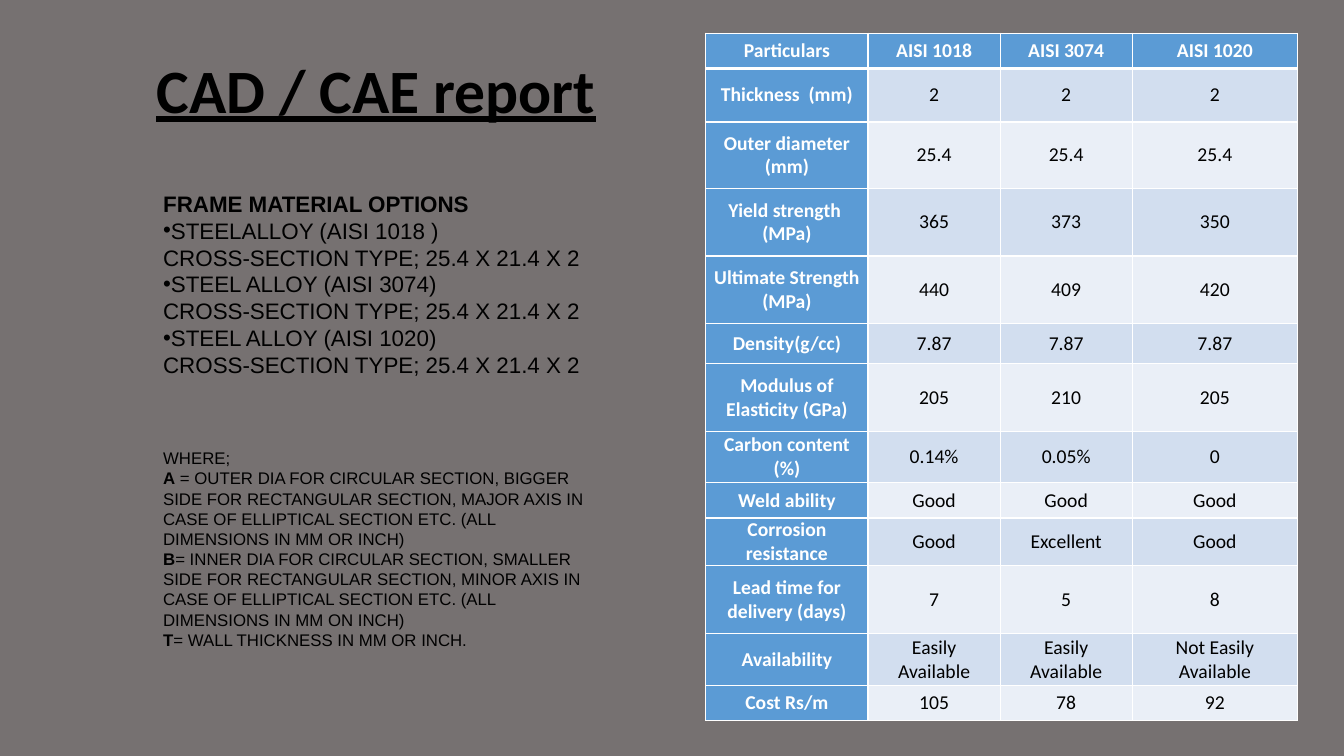
import lxml.etree
import pptx
import pptx.dml.color
import pptx.enum.text
import pptx.oxml.ns
import pptx.util

PX = 9144
FONT_TABLE = "Calibri"
FONT_BODY = "Arial"
BLACK, WHITE, GRAY = "000000", "FFFFFF", "767171"
BLUE, BAND_DARK, BAND_LIGHT = "5B9BD5", "D2DEEF", "EAEFF7"
MIDDLE = pptx.enum.text.MSO_ANCHOR.MIDDLE
CENTER = pptx.enum.text.PP_ALIGN.CENTER
LEFT = pptx.enum.text.PP_ALIGN.LEFT

COLUMN_WIDTHS = [161, 131, 131, 164]
MATERIAL_ROWS = [
    (35, ["Particulars", "AISI 1018", "AISI 3074", "AISI 1020"]),
    (53, ["Thickness  (mm)", "2", "2", "2"]),
    (66, ["Outer diameter (mm)", "25.4", "25.4", "25.4"]),
    (67, ["Yield strength  (MPa)", "365", "373", "350"]),
    (67, ["Ultimate Strength (MPa)", "440", "409", "420"]),
    (40, ["Density(g/cc)", "7.87", "7.87", "7.87"]),
    (67, ["Modulus of Elasticity (GPa)", "205", "210", "205"]),
    (51, ["Carbon content (%)", "0.14%", "0.05%", "0"]),
    (35, ["Weld ability", "Good", "Good", "Good"]),
    (46, ["Corrosion resistance", "Good", "Excellent", "Good"]),
    (67, ["Lead time for delivery (days)", "7", "5", "8"]),
    (52, ["Availability", "Easily Available", "Easily Available", "Not Easily Available"]),
    (35, ["Cost Rs/m", "105", "78", "92"]),
]
ALLOYS = ["STEELALLOY (AISI 1018 )", "STEEL ALLOY (AISI 3074)", "STEEL ALLOY (AISI 1020)"]
CROSS_SECTION = "CROSS-SECTION TYPE; 25.4 X 21.4 X 2"
DEFINITIONS = [
    ("A", " = OUTER DIA FOR CIRCULAR SECTION, BIGGER SIDE FOR RECTANGULAR SECTION, "
          "MAJOR AXIS IN CASE OF ELLIPTICAL SECTION ETC. (ALL DIMENSIONS IN MM OR INCH)"),
    ("B", "= INNER DIA FOR CIRCULAR SECTION, SMALLER SIDE FOR RECTANGULAR SECTION, "
          "MINOR AXIS IN CASE OF ELLIPTICAL SECTION ETC. (ALL DIMENSIONS IN MM ON INCH)"),
    ("T", "= WALL THICKNESS IN MM OR INCH."),
]


def px(length):
    return pptx.util.Emu(length * PX)


def color(value):
    return pptx.dml.color.RGBColor.from_string(value)


def write(paragraph, text, size, font=FONT_BODY, fill=BLACK, bold=False,
          underline=False, align=LEFT):
    paragraph.alignment = align
    run = paragraph.add_run()
    run.text = text
    run.font.name = font
    run.font.size = pptx.util.Pt(size)
    run.font.bold = bold
    run.font.underline = underline
    run.font.color.rgb = color(fill)


def add_bullet(paragraph):
    properties = paragraph._p.get_or_add_pPr()
    properties.set("marL", "0")
    properties.set("indent", "0")
    tag = pptx.oxml.ns.qn
    lxml.etree.SubElement(properties, tag("a:buFont"), typeface=FONT_BODY)
    lxml.etree.SubElement(properties, tag("a:buChar"), char="•")


def set_border(cell, side, width):
    tag = pptx.oxml.ns.qn
    line = lxml.etree.Element(tag("a:" + side), w=str(pptx.util.Pt(width)))
    solid = lxml.etree.SubElement(line, tag("a:solidFill"))
    lxml.etree.SubElement(solid, tag("a:srgbClr"), val=WHITE)
    cell._tc.get_or_add_tcPr().append(line)


def add_title(slide, left, top, width, height):
    title = slide.shapes.title
    title.left, title.top = px(left), px(top)
    title.width, title.height = px(width), px(height)
    title.text_frame.vertical_anchor = MIDDLE
    paragraph = title.text_frame.paragraphs[0]
    paragraph.line_spacing = 0.9
    write(paragraph, "CAD / CAE report", 44, font=FONT_TABLE, bold=True,
          underline=True, align=CENTER)


def add_material_options(slide, left, top, width, height):
    box = slide.shapes.add_textbox(px(left), px(top), px(width), px(height))
    frame = box.text_frame
    frame.word_wrap = True
    frame.vertical_anchor = MIDDLE
    frame.margin_bottom = px(29)
    write(frame.paragraphs[0], "FRAME MATERIAL OPTIONS", 16, bold=True)
    for alloy in ALLOYS:
        paragraph = frame.add_paragraph()
        add_bullet(paragraph)
        write(paragraph, alloy, 16)
        paragraph.add_line_break()
        write(paragraph, CROSS_SECTION, 16)
    paragraph = frame.add_paragraph()
    paragraph.space_before = pptx.util.Pt(50)
    write(paragraph, "WHERE;", 12)
    for symbol, meaning in DEFINITIONS:
        paragraph = frame.add_paragraph()
        write(paragraph, symbol, 12, bold=True)
        write(paragraph, meaning, 12)


def format_cell(cell, text, row, column):
    heading = row == 0 or column == 0
    cell.fill.solid()
    band = BAND_DARK if row % 2 else BAND_LIGHT
    cell.fill.fore_color.rgb = color(BLUE if heading else band)
    cell.vertical_anchor = MIDDLE
    cell.margin_left = cell.margin_right = px(7)
    cell.margin_top = cell.margin_bottom = 0
    write(cell.text_frame.paragraphs[0], text, 14, font=FONT_TABLE,
          fill=WHITE if heading else BLACK, bold=heading, align=CENTER)
    properties = cell._tc.get_or_add_tcPr()
    fill = properties[0]
    widths = {"lnL": 1, "lnR": 1, "lnT": 3 if row == 1 else 1, "lnB": 3 if row == 0 else 1}
    for side, width in widths.items():
        set_border(cell, side, width)
    properties.append(fill)


def add_material_table(slide, left, top, width, height):
    frame = slide.shapes.add_table(len(MATERIAL_ROWS), len(COLUMN_WIDTHS),
                                   px(left), px(top), px(width), px(height))
    table = frame.table
    for column, column_width in enumerate(COLUMN_WIDTHS):
        table.columns[column].width = px(column_width)
    for row, (row_height, texts) in enumerate(MATERIAL_ROWS):
        table.rows[row].height = px(row_height)
        for column, text in enumerate(texts):
            format_cell(table.cell(row, column), text, row, column)


def main():
    presentation = pptx.Presentation()
    presentation.slide_width, presentation.slide_height = px(1333), px(750)
    slide = presentation.slides.add_slide(presentation.slide_layouts[5])
    slide.background.fill.solid()
    slide.background.fill.fore_color.rgb = color(GRAY)
    add_title(slide, 66, 20, 614, 145)
    add_material_table(slide, 700, 33, sum(COLUMN_WIDTHS),
                       sum(height for height, texts in MATERIAL_ROWS))
    add_material_options(slide, 152, 181, 457, 495)
    presentation.save("out.pptx")


if __name__ == "__main__":
    main()
